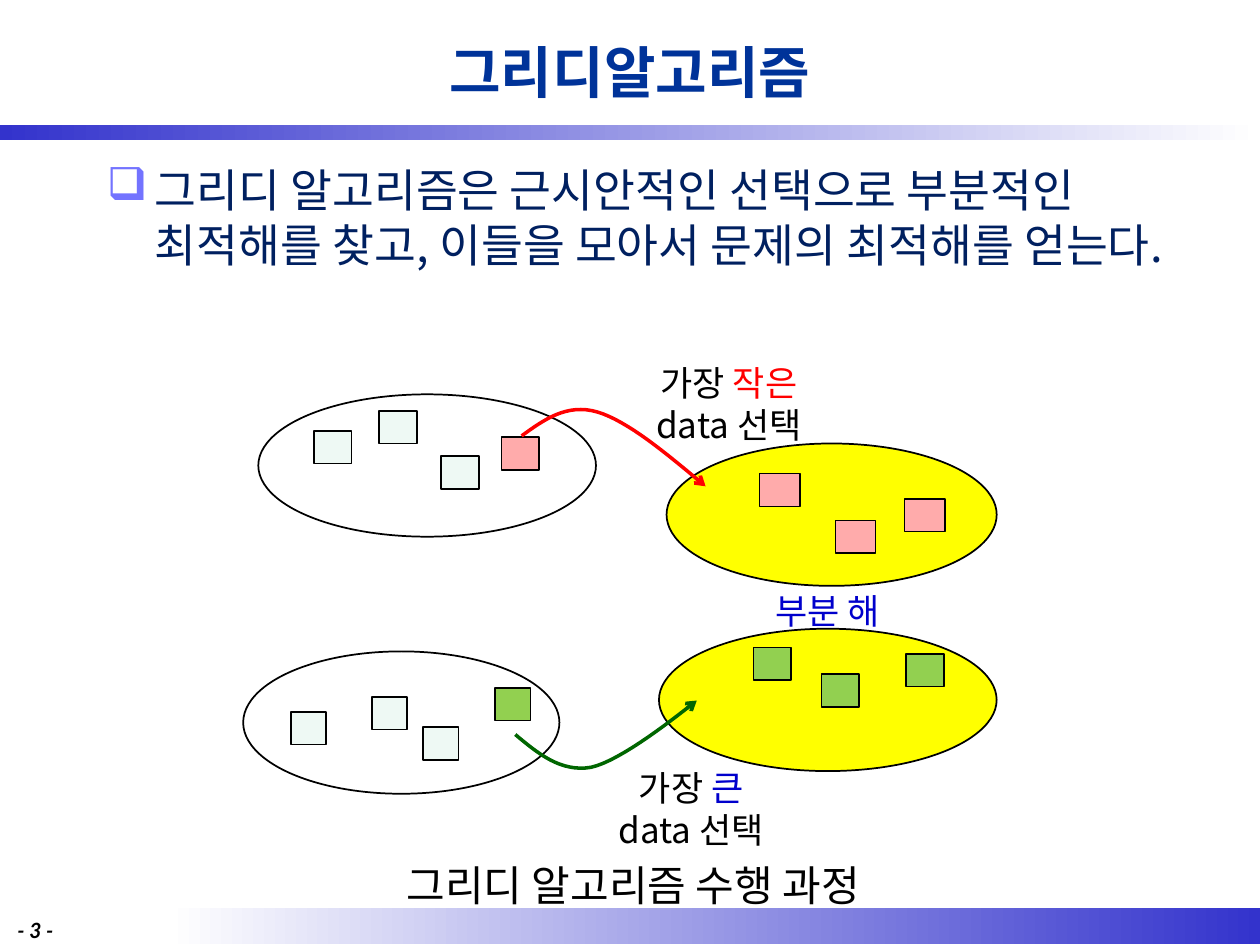
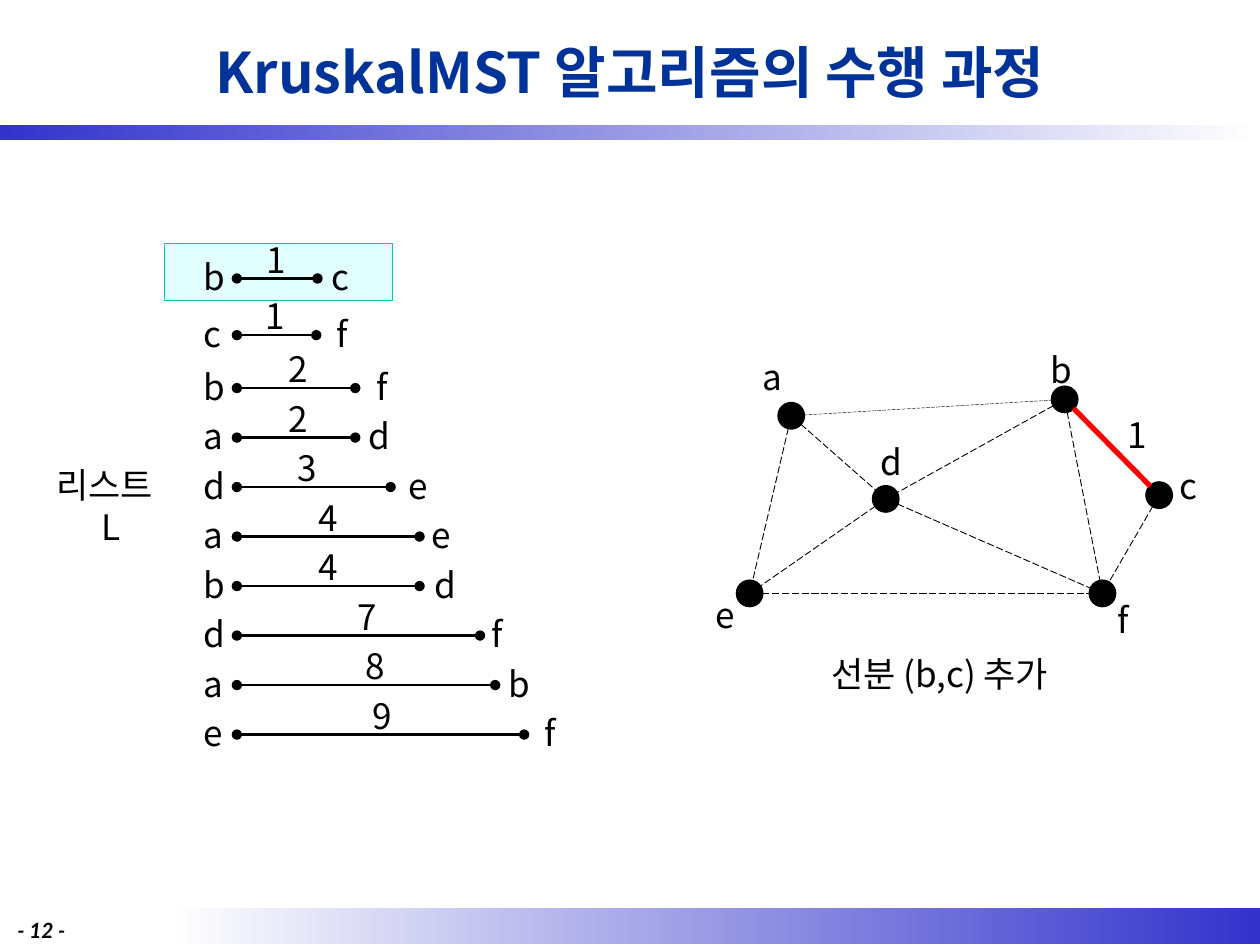
from math import hypot

from lxml import etree
from pptx import Presentation
from pptx.dml.color import RGBColor
from pptx.enum.dml import MSO_LINE
from pptx.enum.shapes import MSO_CONNECTOR, MSO_SHAPE
from pptx.enum.text import MSO_ANCHOR, PP_ALIGN
from pptx.oxml.ns import qn
from pptx.util import Inches, Pt

RECT, OVAL = MSO_SHAPE.RECTANGLE, MSO_SHAPE.OVAL
STRAIGHT = MSO_CONNECTOR.STRAIGHT
LONG_DASH = MSO_LINE.LONG_DASH
LEFT, CENTER = PP_ALIGN.LEFT, PP_ALIGN.CENTER
TOP, MIDDLE = MSO_ANCHOR.TOP, MSO_ANCHOR.MIDDLE

COLUMNS, ROWS = 10, 7.5
BODY_FONT, NUMBER_FONT = "Noto Sans CJK KR", "Lato"
LINE_HEIGHT = 1.2

BLACK, WHITE, RED, BLUE = "000000", "FFFFFF", "FF0000", "0000CC"
BAND, TITLE, BODY, BULLET = "3333CC", "003399", "002060", "7373FF"
YELLOW, PALE, PINK, GREEN = "FFFF00", "EEF9F4", "FFABAB", "92D050"
DARK_GREEN, CYAN, TEAL = "006600", "E1FFFF", "00CC99"


def rgb(color):
    return RGBColor.from_string(color)


def bezier(start, first, second, end, steps=16):
    """Points along a cubic curve, without its start."""
    for step in range(1, steps + 1):
        t = step / steps
        weights = ((1 - t) ** 3, 3 * t * (1 - t) ** 2, 3 * t * t * (1 - t), t ** 3)
        yield tuple(sum(weight * point[axis] for weight, point
                        in zip(weights, (start, first, second, end)))
                    for axis in (0, 1))


class SlideWriter:
    """Holds the deck's style and the slide being written."""

    def __init__(self, deck):
        self.deck = deck
        self.column = deck.slide_width / COLUMNS
        self.row = deck.slide_height / ROWS
        self.page = None

    def place(self, *lengths):
        """Turn alternating columns and rows into slide lengths."""
        return [round(length * (self.row if index % 2 else self.column))
                for index, length in enumerate(lengths)]

    def new_page(self, title, number):
        self.page = self.deck.slides.add_slide(self.deck.slide_layouts[6])
        self.band((1.33, 7.21, 8.67, 0.28), WHITE, BAND)
        self.band((0, 0.99, 10, 0.12), BAND, WHITE)
        self.text((0.75, 0.05, 8.5, 1.03), [[(title, TITLE)]], size=32,
                  align=CENTER, anchor=MIDDLE, bold=True)
        self.text((0.04, 7.22, 0.71, 0.24), [[(f"- {number} -", BLACK)]], size=12,
                  font=NUMBER_FONT, bold=True, italic=True)

    def shape(self, kind, area, fill=None, line=BLACK, width=1):
        shape = self.page.shapes.add_shape(kind, *self.place(*area))
        shape.shadow.inherit = False
        self.paint(shape, fill)
        if line:
            self.stroke(shape, line, width)
        else:
            shape.line.fill.background()
        return shape

    def paint(self, shape, fill):
        if fill:
            shape.fill.solid()
            shape.fill.fore_color.rgb = rgb(fill)
        else:
            shape.fill.background()

    def stroke(self, shape, color, width, dash=None, **ends):
        shape.line.color.rgb = rgb(color)
        shape.line.width = Pt(width)
        if dash:
            shape.line.dash_style = dash
        outline = shape.line._get_or_add_ln()
        for tag in ("headEnd", "tailEnd"):
            if tag in ends:
                etree.SubElement(outline, qn(f"a:{tag}"), type=ends[tag])

    def band(self, area, start, end):
        band = self.shape(RECT, area, line=None)
        band.fill.gradient()
        band.fill.gradient_angle = 0
        for stop, color in zip(band.fill.gradient_stops, (start, end)):
            stop.color.rgb = rgb(color)

    def squares(self, corners, fill, side, width=1):
        for left, top in corners:
            self.shape(RECT, (left, top, side, 0.26), fill, width=width)

    def line(self, start, end, color=BLACK, width=1.5, dash=None, **ends):
        line = self.page.shapes.add_connector(STRAIGHT, *self.place(*start, *end))
        self.stroke(line, color, width, dash, **ends)
        etree.SubElement(line._element.spPr, qn("a:effectLst"))

    def curved_arrow(self, start, pieces, color):
        """Draw cubic pieces, each given as two controls and an end."""
        builder = self.page.shapes.build_freeform(*self.place(*start))
        for first, second, end in pieces:
            points = [self.place(*point) for point in bezier(start, first, second, end)]
            builder.add_line_segments(points, close=False)
            start = end
        arrow = builder.convert_to_shape()
        arrow.shadow.inherit = False
        self.paint(arrow, None)
        self.stroke(arrow, color, 2, tailEnd="arrow")

    def text(self, area, lines, size=20, align=LEFT, anchor=TOP, font=BODY_FONT,
             bold=False, italic=False):
        """Each line is a list of (wording, colour) spans."""
        box = self.page.shapes.add_textbox(*self.place(*area))
        frame = box.text_frame
        frame.word_wrap = True
        frame.vertical_anchor = anchor
        if anchor == TOP:
            frame.margin_top = Inches(0.06)
        for index, spans in enumerate(lines):
            para = frame.add_paragraph() if index else frame.paragraphs[0]
            para.alignment = align
            para.line_spacing = Pt(size * LINE_HEIGHT)
            for wording, color in spans:
                span = para.add_run()
                span.text = wording
                span.font.size = Pt(size)
                span.font.bold, span.font.italic = bold, italic
                span.font.color.rgb = rgb(color)
                span.font.name = font
                etree.SubElement(span._r.get_or_add_rPr(), qn("a:ea"), typeface=font)
        return frame

    def bullet(self, area, wording):
        para = self.text(area, [[(wording, BODY)]], size=26).paragraphs[0]
        settings = para._p.get_or_add_pPr()
        settings.set("marL", str(Inches(0.38)))
        settings.set("indent", str(Inches(-0.38)))
        color = etree.SubElement(settings, qn("a:buClr"))
        etree.SubElement(color, qn("a:srgbClr"), val=BULLET)
        etree.SubElement(settings, qn("a:buChar"), char="❑")

    def label(self, left, top, letter):
        self.text((left, top, 0.37, 0.44), [[(letter, BLACK)]])


def greedy_page(writer):
    writer.new_page("그리디알고리즘", 3)
    writer.bullet((0.75, 1.23, 8.5, 1.5),
                  "그리디 알고리즘은 근시안적인 선택으로 부분적인 최적해를 찾고, "
                  "이들을 모아서 문제의 최적해를 얻는다.")
    writer.text((2.82, 6.76, 4.41, 0.3), [[("그리디 알고리즘 수행 과정", BLACK)]],
                size=24, align=CENTER)

    # Choosing the largest data
    writer.shape(OVAL, (1.93, 5.17, 2.51, 1.13))
    writer.squares([(2.31, 5.65), (3.36, 5.77), (2.95, 5.53)], PALE, 0.28)
    writer.squares([(3.93, 5.46)], GREEN, 0.28)
    writer.shape(OVAL, (5.23, 4.99, 2.68, 1.13), YELLOW)
    writer.squares([(5.98, 5.14), (6.52, 5.35), (7.19, 5.19)], GREEN, 0.3)

    # Choosing the smallest data
    writer.shape(OVAL, (5.29, 3.52, 2.62, 1.13), YELLOW)
    writer.squares([(7.18, 3.96), (6.03, 3.76), (6.63, 4.13)], PINK, 0.32, 0.75)
    writer.squares([(3.98, 3.47)], PINK, 0.3)
    writer.shape(OVAL, (2.05, 3.13, 2.68, 1.13))
    writer.squares([(3.5, 3.62), (3.01, 3.26), (2.49, 3.42)], PALE, 0.3)

    # Captions
    for left, top, choice, color in ((4.63, 6.02, "큰", BLUE), (4.93, 2.81, "작은", RED)):
        writer.text((left, top, 1.71, 0.46),
                    [[("가장 ", BLACK), (choice, color)], [("data 선택", BLACK)]],
                    align=CENTER)
    writer.text((5.55, 4.62, 2.04, 0.26), [[("부분 해", BLUE)]], align=CENTER)

    # Arrows from each choice to its partial solution
    writer.curved_arrow((4.09, 5.83), [((4.27, 5.98), (4.45, 6.13), (4.69, 6.09)),
                                       ((4.93, 6.04), (5.39, 5.67), (5.53, 5.56))],
                        DARK_GREEN)
    writer.curved_arrow((4.14, 3.46), [((4.32, 3.33), (4.5, 3.2), (4.74, 3.27)),
                                       ((4.98, 3.34), (5.29, 3.6), (5.6, 3.86))], RED)


def kruskal_page(writer):
    writer.new_page("KruskalMST 알고리즘의 수행 과정", 12)

    # Graph: node centre and label corner
    radius = 0.1
    nodes = {"a": ((6.28, 3.3), (5.95, 2.76)), "b": ((8.45, 3.17), (8.24, 2.71)),
             "c": ((9.2, 3.93), (9.26, 3.63)), "d": ((7.03, 3.96), (6.89, 3.44)),
             "e": ((5.95, 4.71), (5.58, 4.65)), "f": ((8.75, 4.71), (8.77, 4.69))}
    for letter, ((x, y), corner) in nodes.items():
        writer.shape(OVAL, (x - radius, y - radius, 2 * radius, 2 * radius),
                     BLACK, width=1.5)
        writer.label(*corner, letter)
    for first, second in ("ad", "de", "ae", "df", "ef", "ab", "bd", "cf", "bf", "bc"):
        (x1, y1), (x2, y2) = nodes[first][0], nodes[second][0]
        share = radius / hypot(x2 - x1, y2 - y1)
        dx, dy = (x2 - x1) * share, (y2 - y1) * share
        ends = (x1 + dx, y1 + dy), (x2 - dx, y2 - dy)
        if first + second == "bc":
            writer.line(*ends, color=RED, width=3)
        else:
            width = 0.25 if first + second == "ab" else 0.5
            writer.line(*ends, width=width, dash=LONG_DASH)
    writer.label(8.85, 3.22, "1")
    writer.text((6.5, 5.12, 2.3, 0.44), [[("선분 (b,c) 추가", BLACK)]])

    # Sorted list: edge, weight, line end, weight left, end label left
    writer.shape(RECT, (1.3, 1.93, 1.81, 0.45), CYAN, TEAL, 0.25)
    edges = [("bc", 1, 2.52, 2.02, 2.53), ("cf", 1, 2.51, 2.01, 2.57),
             ("bf", 2, 2.82, 2.19, 2.89), ("ad", 2, 2.82, 2.19, 2.83),
             ("de", 3, 3.1, 2.26, 3.14), ("ae", 4, 3.33, 2.43, 3.33),
             ("bd", 4, 3.33, 2.43, 3.35), ("df", 7, 3.81, 2.74, 3.8),
             ("ab", 8, 3.93, 2.8, 3.94), ("ef", 9, 4.16, 2.86, 4.22)]
    first_rows, third_row, last_row = [2.21, 2.66], 3.08, 5.83
    step = (last_row - third_row) / (len(edges) - 3)
    heights = first_rows + [third_row + step * index for index in range(len(edges) - 2)]
    for y, ((start, end), weight, line_end, weight_left, end_left) in zip(heights, edges):
        writer.line((line_end, y), (1.88, y), headEnd="oval", tailEnd="oval")
        writer.label(weight_left, y - 0.38, str(weight))
        writer.label(1.52, y - 0.24, start)
        writer.label(end_left, y - 0.24, end)
    heading = writer.text((0.35, 3.62, 1.07, 0.77), [[("리스트", BLACK)], [("L", BLACK)]])
    heading.paragraphs[1].alignment = CENTER


def main():
    deck = Presentation()
    deck.slide_width, deck.slide_height = Inches(10), Inches(7.5)
    writer = SlideWriter(deck)
    greedy_page(writer)
    kruskal_page(writer)
    deck.save("out.pptx")


if __name__ == "__main__":
    main()
